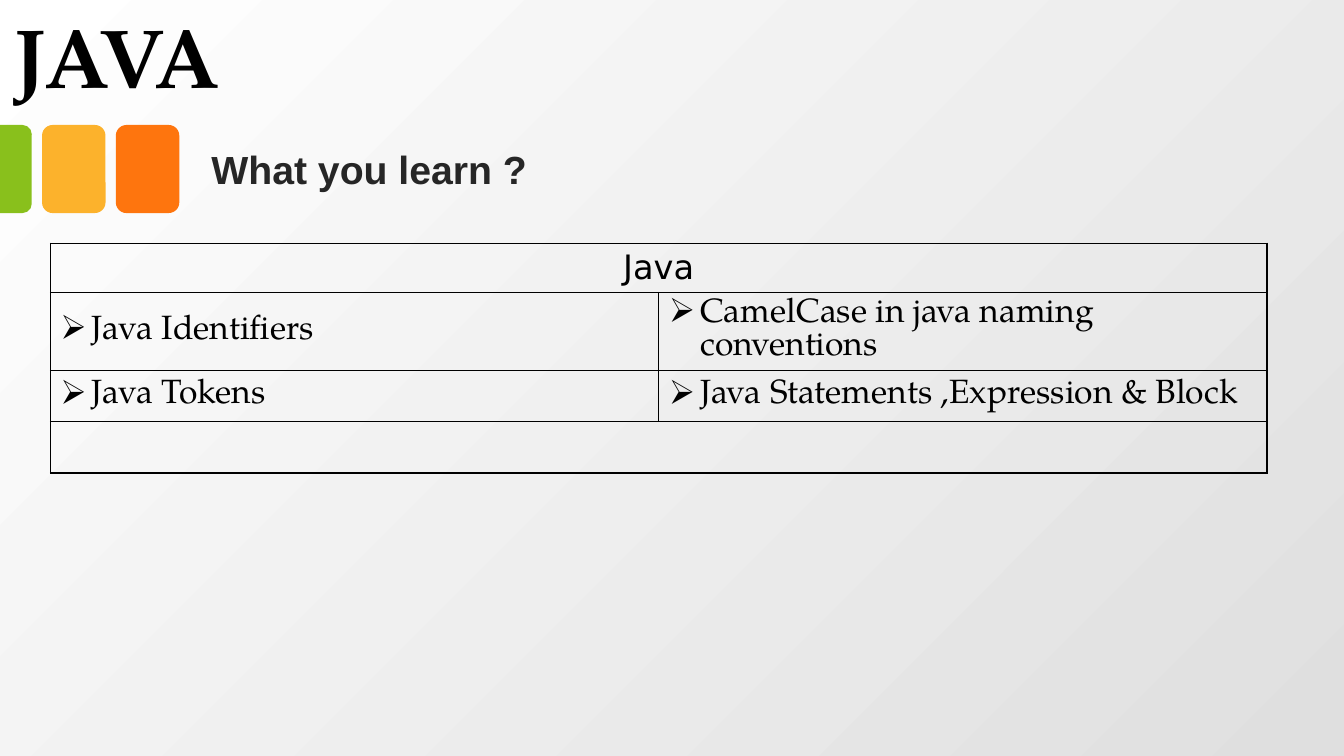
from lxml.etree import SubElement
from pptx import Presentation
from pptx.dml.color import RGBColor
from pptx.enum.shapes import MSO_SHAPE as Preset
from pptx.enum.text import MSO_ANCHOR as Anchor, MSO_AUTO_SIZE as AutoSize, PP_ALIGN as Align
from pptx.oxml.ns import qn
from pptx.util import Cm, Pt

SERIF = "TeX Gyre Pagella"
TOPICS = [
    ["Java Identifiers", "CamelCase in java naming conventions"],
    ["Java Tokens", "Java Statements ,Expression & Block"],
]


def colour(value):
    return RGBColor.from_string(value)


def apply(target, values):
    for name, value in values.items():
        setattr(target, name, value)


def write(para, text, font, size, shade="000000", bold=False):
    span = para.add_run()
    span.text = text
    apply(span.font, {"name": font, "size": Pt(size), "bold": bold})
    span.font.color.rgb = colour(shade)


def paint_background(page):
    fill = page.background.fill
    fill.gradient()
    fill.gradient_angle = 315
    for stop, shade, position in zip(fill.gradient_stops, ("FFFFFF", "DFDFDF"), (0, 1)):
        stop.color.rgb = colour(shade)
        stop.position = position


def add_title(page, left, top, width, height):
    title = page.shapes.title
    apply(title, {"left": Cm(left), "top": Cm(top), "width": Cm(width), "height": Cm(height)})
    frame = title.text_frame
    apply(frame, {
        "auto_size": AutoSize.NONE, "word_wrap": True, "vertical_anchor": Anchor.BOTTOM,
        "margin_left": Cm(0.33), "margin_right": Cm(0.33),
        "margin_top": Cm(0.18), "margin_bottom": Cm(0.18),
    })
    para = frame.paragraphs[0]
    apply(para, {"alignment": Align.LEFT, "line_spacing": 0.8})
    write(para, "JAVA", SERIF, 60, bold=True)


def add_tile(page, preset, box, shade, corners, rotation=0):
    tile = page.shapes.add_shape(preset, *map(Cm, box))
    tile.rotation = rotation
    tile.shadow.inherit = False
    tile.fill.solid()
    tile.fill.fore_color.rgb = colour(shade)
    tile.line.fill.background()
    for index, corner in enumerate(corners):
        tile.adjustments[index] = corner


def add_tiles(page, left, top, width, height):
    pitch = 1.86
    tile_width = width - 2 * pitch + 0.8
    edge_width = 0.8
    for step, shade in ((1, "FCB22C"), (2, "FE750E")):
        box = (left + edge_width - tile_width + step * pitch, top, tile_width, height)
        add_tile(page, Preset.ROUNDED_RECTANGLE, box, shade, (0.167,))
    turned = (left + (edge_width - height) / 2, top + (height - edge_width) / 2, height, edge_width)
    add_tile(page, Preset.ROUND_2_SAME_RECTANGLE, turned, "89C01C", (0.292, 0), 90)


def add_heading(page, left, top, width, height):
    box = page.shapes.add_textbox(*map(Cm, (left, top, width, height)))
    apply(box.text_frame, {"word_wrap": False, "auto_size": AutoSize.SHAPE_TO_FIT_TEXT})
    write(box.text_frame.paragraphs[0], "What you learn ?", "Arial", 28, "262626", True)


def outline(cell):
    properties = cell._tc.get_or_add_tcPr()
    for side in ("a:lnL", "a:lnR", "a:lnT", "a:lnB"):
        line = SubElement(properties, qn(side), w="12700")
        fill = SubElement(line, qn("a:solidFill"))
        SubElement(fill, qn("a:srgbClr"), val="000000")
    cell.fill.background()
    cell.vertical_anchor = Anchor.MIDDLE


def add_bullet(para):
    properties = para._p.get_or_add_pPr()
    indent = Cm(0.79)
    properties.set("marL", str(indent))
    properties.set("indent", str(-indent))
    SubElement(properties, qn("a:buChar"), char="➢")


def add_topics(page, left, top, width, heights):
    size = map(Cm, (left, top, width, sum(heights)))
    table = page.shapes.add_table(len(heights), 2, *size).table
    apply(table, {"first_row": False, "horz_banding": False})
    for row, height in zip(table.rows, heights):
        row.height = Cm(height)
    for cell in table.iter_cells():
        outline(cell)
    for row in (0, len(heights) - 1):
        table.cell(row, 0).merge(table.cell(row, 1))
    header = table.cell(0, 0).text_frame.paragraphs[0]
    header.alignment = Align.CENTER
    write(header, "Java", "DejaVu Sans", 24)
    for row, topics in enumerate(TOPICS, 1):
        for column, topic in enumerate(topics):
            para = table.cell(row, column).text_frame.paragraphs[0]
            add_bullet(para)
            write(para, topic, SERIF, 24)


def main():
    deck = Presentation()
    apply(deck, {"slide_width": Cm(33.87), "slide_height": Cm(19.05)})
    page = deck.slides.add_slide(deck.slide_layouts[5])
    paint_background(page)
    add_tiles(page, 0, 3.15, 4.52, 2.22)
    add_title(page, 0.03, 0.43, 15.44, 2.39)
    add_topics(page, 1.27, 6.13, 30.66, (1.24, 1.97, 1.29, 1.29))
    add_heading(page, 5.08, 3.53, 8.84, 1.45)
    deck.save("out.pptx")


if __name__ == "__main__":
    main()
